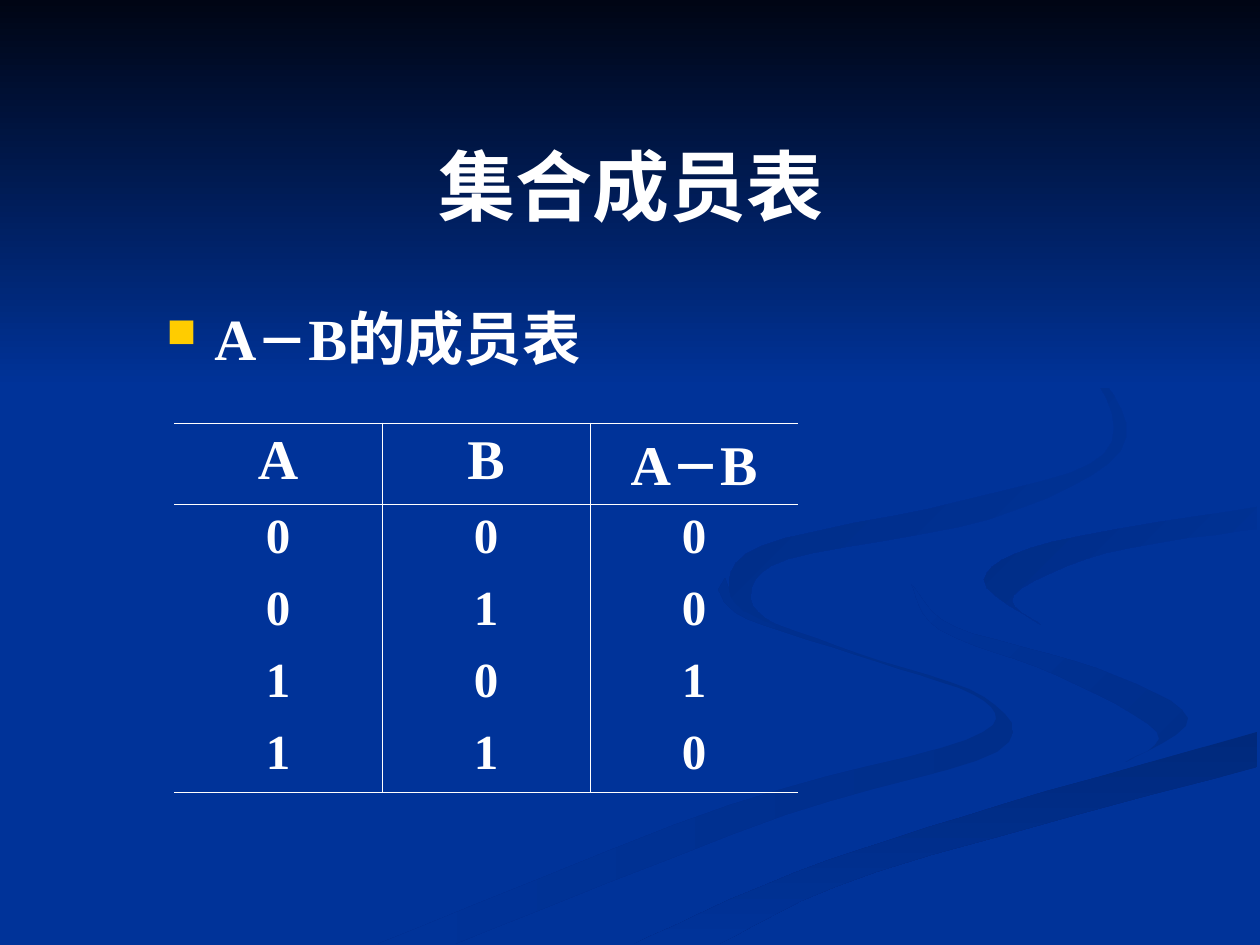
from dataclasses import dataclass

from pptx import Presentation
from pptx.dml.color import RGBColor
from pptx.enum.shapes import MSO_SHAPE
from pptx.enum.text import MSO_ANCHOR, PP_ALIGN
from pptx.oxml.ns import qn
from pptx.util import Emu, Pt
from lxml import etree

RECTANGLE = MSO_SHAPE.RECTANGLE
MIDDLE, TOP = MSO_ANCHOR.MIDDLE, MSO_ANCHOR.TOP
CENTER, LEFT = PP_ALIGN.CENTER, PP_ALIGN.LEFT
SCALE = 914400 / 126
CURVE_STEPS = 6
FONT = "Times New Roman"
COLORS = {
    "blue": "003399", "night": "000514", "white": "FFFFFF", "gold": "FFCC00",
    "tail": "002E8A", "stream": "00297C", "bend": "002C85", "swirl": "002B81",
}

Point = tuple[int, int]


@dataclass(frozen=True)
class Ribbon:
    colors: tuple[str, str]
    angle: int
    outer: tuple[Point, ...]
    inner: tuple[Point, ...]


@dataclass(frozen=True)
class Span:
    text: str
    size: float


RIBBONS = (
    Ribbon(("tail", "blue"), 180,
           ((725, 578), (748, 611), (859, 654), (984, 697), (997, 752), (785, 815), (455, 944)),
           ((718, 590), (747, 619), (878, 662), (984, 701), (966, 740), (730, 805), (378, 944))),
    Ribbon(("tail", "blue"), 225,
           ((912, 585), (955, 627), (1096, 668), (1188, 718), (1126, 762)),
           ((912, 585), (940, 630), (1056, 675), (1157, 732), (1126, 762))),
    Ribbon(("stream", "blue"), 90,
           ((634, 944), (794, 873), (1004, 804), (1257, 732)),
           ((719, 944), (876, 872), (1257, 767))),
    Ribbon(("blue", "bend"), 225,
           ((1041, 625), (984, 580), (1052, 542), (1257, 507)),
           ((1041, 625), (1014, 595), (1106, 553), (1257, 529))),
    Ribbon(("blue", "swirl"), 225,
           ((960, 294), (1089, 367), (1121, 450), (990, 519), (788, 559), (751, 600), (784, 630)),
           ((960, 294), (1086, 368), (1104, 454), (961, 501), (762, 546), (731, 597), (784, 630))),
)

HEADERS = (
    (Span("A", 32),),
    (Span("B", 32),),
    (Span("A", 32), Span("－", 28), Span("B", 32)),
)
MEMBERS = ("000", "010", "101", "110")


def px(length: int) -> Emu:
    return Emu(round(length * SCALE))


def rgb(name: str) -> RGBColor:
    return RGBColor.from_string(COLORS[name])


def smooth(knots: tuple[Point, ...]) -> list[Point]:
    padded = (knots[0], *knots, knots[-1])
    points = [knots[0]]
    for before, start, end, after in zip(padded, padded[1:], padded[2:], padded[3:]):
        for step in range(1, CURVE_STEPS + 1):
            t = step / CURVE_STEPS
            points.append(tuple(
                round(b + t * (c - a + t * (2 * a - 5 * b + 4 * c - d
                                            + t * (3 * b - a - 3 * c + d))) / 2)
                for a, b, c, d in zip(before, start, end, after)))
    return points


def paint(shape, colors: tuple[str, str], angle: int) -> None:
    shape.shadow.inherit = False
    shape.line.fill.background()
    shape.fill.gradient()
    shape.fill.gradient_angle = 360 - angle
    for position, (stop, name) in enumerate(zip(shape.fill.gradient_stops, colors)):
        stop.position = position
        stop.color.rgb = rgb(name)


def draw_ribbon(page, ribbon: Ribbon) -> None:
    outline = smooth(ribbon.outer) + smooth(ribbon.inner)[::-1]
    builder = page.shapes.build_freeform(*outline[0], scale=SCALE)
    builder.add_line_segments(outline[1:], close=True)
    paint(builder.convert_to_shape(), ribbon.colors, ribbon.angle)


def write(frame, spans: tuple[Span, ...], *, align=LEFT, anchor=TOP):
    frame.word_wrap = True
    frame.vertical_anchor = anchor
    para = frame.paragraphs[0]
    para.alignment = align
    for span in spans:
        run = para.add_run()
        run.text = span.text
        run.font.name = FONT
        run.font.size = Pt(span.size)
        run.font.bold = True
        run.font.color.rgb = rgb("white")
    return para


def add_bullet(para, *, char: str, color: str, percent: int, indent: int) -> None:
    props = para._p.get_or_add_pPr()
    props.set("marL", str(px(indent)))
    props.set("indent", str(-px(indent)))
    tint = etree.SubElement(props, qn("a:buClr"))
    etree.SubElement(tint, qn("a:srgbClr"), val=COLORS[color])
    etree.SubElement(props, qn("a:buSzPct"), val=str(percent * 1000))
    etree.SubElement(props, qn("a:buChar"), char=char)


def set_borders(cell, shown: dict[str, bool]) -> None:
    props = cell._tc.get_or_add_tcPr()
    for side, visible in shown.items():
        edge = etree.SubElement(props, qn(f"a:ln{side}"), w=str(Pt(0.45)))
        if visible:
            fill = etree.SubElement(edge, qn("a:solidFill"))
            etree.SubElement(fill, qn("a:srgbClr"), val=COLORS["white"])
        else:
            etree.SubElement(edge, qn("a:noFill"))


def draw_table(page) -> None:
    rows = HEADERS, *(tuple(Span(digit, 28) for digit in line) for line in MEMBERS)
    last_row, last_column = len(rows) - 1, len(HEADERS) - 1
    heights = (81,) + (72,) * len(MEMBERS)
    table = page.shapes.add_table(
        len(rows), len(HEADERS), px(174), px(423), px(208 * len(HEADERS)), px(sum(heights))).table
    table.first_row = table.horz_banding = False
    for column in table.columns:
        column.width = px(208)
    for r, (row, height) in enumerate(zip(rows, heights)):
        table.rows[r].height = px(height)
        for c, content in enumerate(row):
            cell = table.cell(r, c)
            set_borders(cell, {"L": c > 0, "R": c < last_column,
                               "T": r < 2, "B": r in (0, last_row)})
            cell.fill.background()
            spans = (content,) if isinstance(content, Span) else content
            write(cell.text_frame, spans, align=CENTER)


def main() -> None:
    deck = Presentation()
    deck.slide_width, deck.slide_height = px(1260), px(945)
    page = deck.slides.add_slide(deck.slide_layouts[6])
    page.background.fill.solid()
    page.background.fill.fore_color.rgb = rgb("blue")

    for ribbon in RIBBONS:
        draw_ribbon(page, ribbon)
    band = page.shapes.add_shape(RECTANGLE, 0, 0, px(1260), px(388))
    paint(band, ("night", "blue"), 90)

    title = page.shapes.add_textbox(px(64), px(106), px(1134), px(158))
    write(title.text_frame, (Span("集合成员表", 44),), align=CENTER, anchor=MIDDLE)

    box = page.shapes.add_textbox(px(154), px(304), px(501), px(89))
    para = write(box.text_frame, (Span("A", 33.3), Span("－", 29.6), Span("B的成员表", 33.3)))
    add_bullet(para, char="■", color="gold", percent=70, indent=48)
    para.line_spacing = 0.9

    draw_table(page)
    deck.save("out.pptx")


if __name__ == "__main__":
    main()
